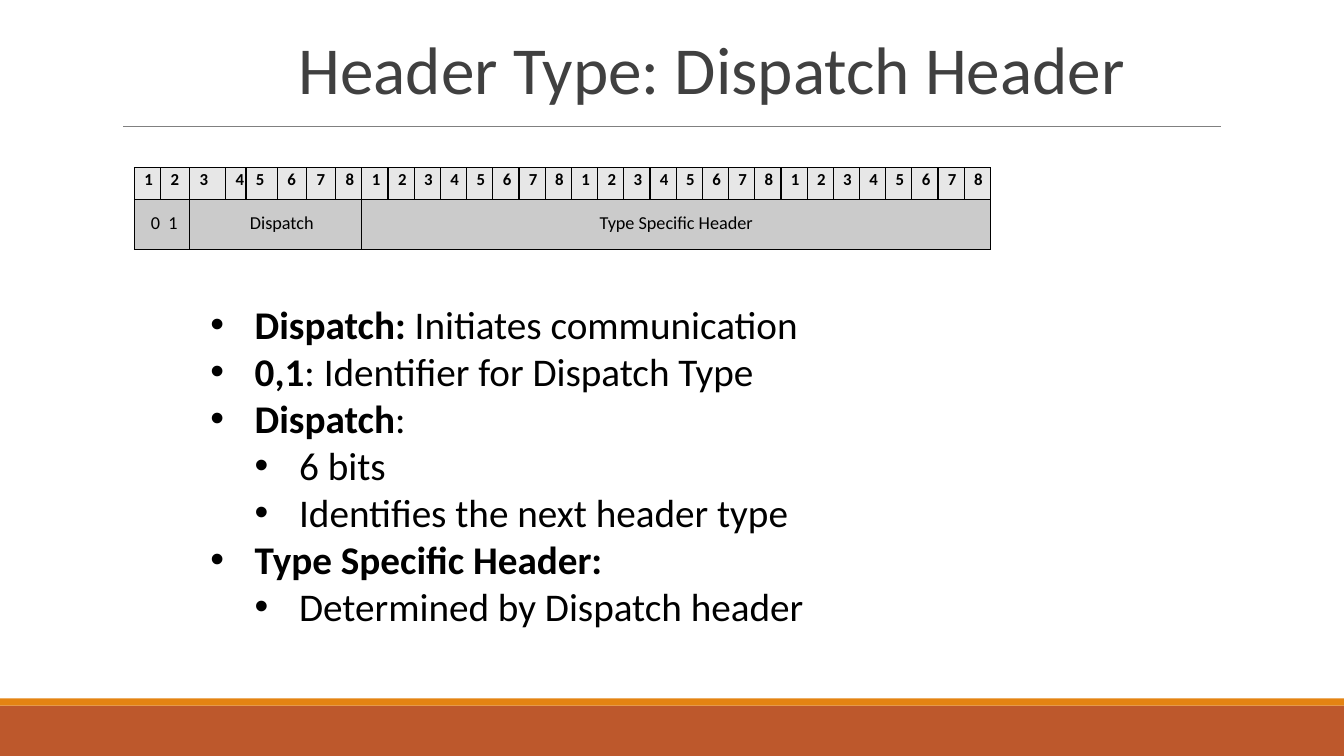
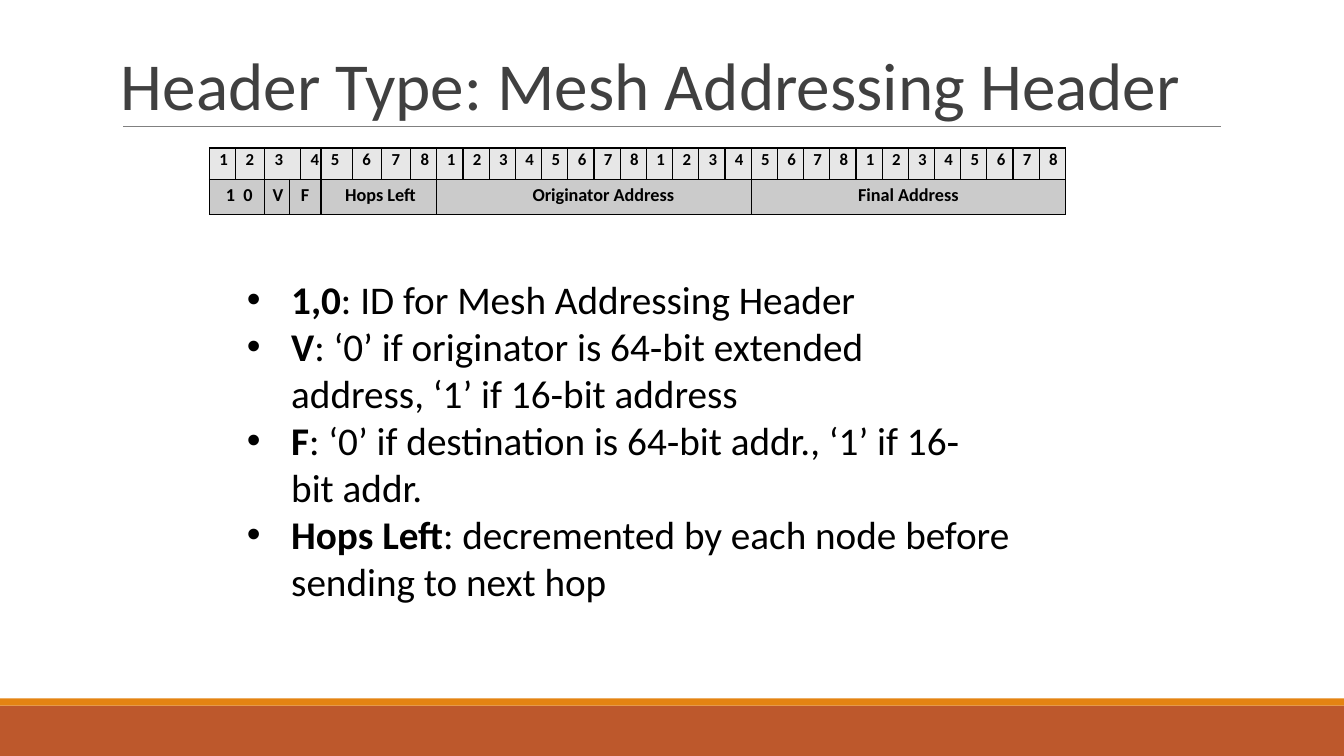
from dataclasses import dataclass
from itertools import repeat

from lxml import etree
from pptx import Presentation
from pptx.dml.color import RGBColor
from pptx.enum import shapes, text
from pptx.oxml.ns import qn
from pptx import util as u

FONT = "Calibri"
RUST = RGBColor(0xBD, 0x58, 0x2C)
ORANGE = RGBColor(0xE4, 0x83, 0x12)
RULE_GREY = RGBColor(0x80, 0x80, 0x80)
TITLE_GREY = RGBColor(0x40, 0x40, 0x40)
BLACK = RGBColor(0, 0, 0)
BIT_FILL = RGBColor(0xE7, 0xE7, 0xE7)
FIELD_FILL = RGBColor(0xCB, 0xCB, 0xCB)

SLIDE_WIDTH, SLIDE_HEIGHT = u.Cm(33.87), u.Cm(19.05)
BIT_WIDTH = 0.66
OCTET_BITS, WORD_BITS = 8, 32


@dataclass
class Field:
    """A header field; without an indent its label is centred."""
    label: str
    span: int = 1
    indent: float | None = None
    tracking: float = 0


@dataclass
class FieldRow:
    fields: list[Field]
    height: float
    top_margin: float
    size: float
    bold: bool
    fill: RGBColor


@dataclass
class Bullet:
    term: str
    detail: str = ""
    level: int = 0
    right_indent: float = 0


@dataclass
class Box:
    left: float
    top: float
    width: float
    height: float

    def lengths(self) -> list[u.Length]:
        return [u.Cm(v) for v in (self.left, self.top, self.width, self.height)]


@dataclass
class HeaderSlide:
    title: str
    title_box: Box
    table_left: float
    table_top: float
    columns: list[float]
    rows: list[FieldRow]
    bullets_box: Box
    bullets: list[Bullet]


def style_font(font, size: float, colour: RGBColor) -> None:
    font.name, font.size = FONT, u.Pt(size)
    font.color.rgb = colour


def bit_row(wide_bit: int = 0) -> FieldRow:
    """Bit numbers of four octets; wide_bit spans two columns."""
    bits = [Field(str(i % OCTET_BITS + 1), 2 if i + 1 == wide_bit else 1, 0.25)
            for i in range(WORD_BITS)]
    return FieldRow(bits, 0.79, 0.05, 12, True, BIT_FILL)


# Shared bands and rule
def draw_frame(slide) -> None:
    for top, height, colour in ((17.78, 1.27, RUST), (17.6, 0.18, ORANGE)):
        band = slide.shapes.add_shape(shapes.MSO_SHAPE.RECTANGLE, 0, u.Cm(top),
                                      SLIDE_WIDTH, u.Cm(height))
        band.shadow.inherit = False
        band.fill.solid()
        band.fill.fore_color.rgb = colour
        band.line.fill.background()
    rule = slide.shapes.add_connector(shapes.MSO_CONNECTOR.STRAIGHT, u.Cm(3.1),
                                      u.Cm(3.18), u.Cm(30.76), u.Cm(3.18))
    rule.line.color.rgb = RULE_GREY
    rule.line.width = u.Pt(0.5)
    etree.SubElement(rule._element.spPr, qn("a:effectLst"))


def add_text_frame(slide, box: Box):
    frame = slide.shapes.add_textbox(*box.lengths()).text_frame
    frame.word_wrap = True
    frame.margin_left = frame.margin_right = frame.margin_bottom = 0
    frame.margin_top = u.Cm(0.03)
    return frame


def draw_title(slide, title: str, box: Box) -> None:
    frame = add_text_frame(slide, box)
    frame.margin_left = u.Cm(0.23)
    frame.vertical_anchor = text.MSO_ANCHOR.BOTTOM
    heading = frame.paragraphs[0]
    heading.text = title
    style_font(heading.font, 48, TITLE_GREY)


# Header layout table
def border_cell(cell) -> None:
    properties = cell._tc.get_or_add_tcPr()
    for side in ("lnL", "lnR", "lnT", "lnB"):
        edge = etree.SubElement(properties, qn(f"a:{side}"), w=str(u.Pt(1)))
        paint = etree.SubElement(edge, qn("a:solidFill"))
        etree.SubElement(paint, qn("a:srgbClr"), val=str(BLACK))


def draw_field(cell, field: Field, row: FieldRow) -> None:
    cell.margin_left = u.Cm(field.indent or 0)
    cell.margin_right = cell.margin_bottom = 0
    cell.margin_top = u.Cm(row.top_margin)
    label = cell.text_frame.paragraphs[0]
    run = label.add_run()
    run.text = field.label
    if field.tracking:
        run._r.get_or_add_rPr().set("spc", str(int(field.tracking * 100)))
    if field.indent is None:
        label.alignment = text.PP_ALIGN.CENTER
    style_font(label.font, row.size, BLACK)
    label.font.bold = row.bold


def draw_header_table(slide, content: HeaderSlide) -> None:
    columns, rows = content.columns, content.rows
    box = Box(content.table_left, content.table_top, sum(columns),
              sum(row.height for row in rows))
    table = slide.shapes.add_table(len(rows), len(columns), *box.lengths()).table
    table.first_row = table.horz_banding = False
    for column, width in zip(table.columns, columns):
        column.width = u.Cm(width)
    for r, row in enumerate(rows):
        table.rows[r].height = u.Cm(row.height)
        for c in range(len(columns)):
            cell = table.cell(r, c)
            border_cell(cell)
            cell.fill.solid()
            cell.fill.fore_color.rgb = row.fill
        start = 0
        for field in row.fields:
            cell = table.cell(r, start)
            if field.span > 1:
                cell.merge(table.cell(r, start + field.span - 1))
            draw_field(cell, field, row)
            start += field.span


# Bulleted explanation
def draw_bullets(slide, bullets: list[Bullet], box: Box) -> None:
    frame = add_text_frame(slide, box)
    for i, bullet in enumerate(bullets):
        line = frame.add_paragraph() if i else frame.paragraphs[0]
        line.level = bullet.level
        properties = line._p.get_or_add_pPr()
        properties.set("marL", str(u.Cm(1.14 + 1.12 * bullet.level)))
        properties.set("marR", str(u.Cm(bullet.right_indent)))
        properties.set("indent", str(u.Cm(-1.12)))
        etree.SubElement(properties, qn("a:buFont"), typeface="Arial")
        etree.SubElement(properties, qn("a:buChar"), char="•")
        style_font(line.font, 28, BLACK)
        for words, bold in ((bullet.term, True), (bullet.detail, False)):
            if words:
                run = line.add_run()
                run.text = words
                run.font.bold = bold


def draw_slide(deck, content: HeaderSlide) -> None:
    slide = deck.slides.add_slide(deck.slide_layouts[6])
    draw_frame(slide)
    draw_title(slide, content.title, content.title_box)
    draw_header_table(slide, content)
    draw_bullets(slide, content.bullets, content.bullets_box)


# Content
FIRST_OCTET = [0.66, 0.73, 0.91, 0.51, 0.79, 0.74, 0.73, 0.66]
OTHER_OCTETS = list(repeat(BIT_WIDTH, WORD_BITS - OCTET_BITS))
SPLIT_BIT = [0.62, 0.29]  # the third bit, divided between V and F

DISPATCH = HeaderSlide(
    title="Header Type: Dispatch Header",
    title_box=Box(7.29, 0.64, 24.64, 2.08),
    table_left=3.39,
    table_top=4.23,
    columns=FIRST_OCTET + OTHER_OCTETS,
    rows=[
        bit_row(),
        FieldRow([Field("0 1", 2, 0.41, 1.5), Field("Dispatch", 6, 1.52),
                  Field("Type Specific Header", 24)],
                 1.27, 0.33, 13, False, FIELD_FILL),
    ],
    bullets_box=Box(5.28, 7.54, 16.71, 8.41),
    bullets=[
        Bullet("Dispatch: ", "Initiates communication"),
        Bullet("0,1", ": Identifier for Dispatch Type"),
        Bullet("Dispatch", ":"),
        Bullet("", "6 bits", 1),
        Bullet("", "Identifies the next header type", 1),
        Bullet("Type Specific Header:"),
        Bullet("", "Determined by Dispatch header", 1),
    ],
)

MESH = HeaderSlide(
    title="Header Type: Mesh Addressing Header",
    title_box=Box(2.82, 1.04, 29.06, 2.08),
    table_left=5.28,
    table_top=3.73,
    columns=FIRST_OCTET[:2] + SPLIT_BIT + FIRST_OCTET[3:] + OTHER_OCTETS,
    rows=[
        bit_row(wide_bit=3),
        FieldRow([Field("1 0", 2, 0.41, 1.5), Field("V", 1, 0.2), Field("F", 2),
                  Field("Hops Left", 4, 0.61), Field("Originator Address", 12, 2.41),
                  Field("Final Address", 12)],
                 0.89, 0.13, 13, True, FIELD_FILL),
    ],
    bullets_box=Box(6.2, 6.91, 19.76, 8.41),
    bullets=[
        Bullet("1,0", ": ID for Mesh Addressing Header"),
        Bullet("V", ": ‘0’ if originator is 64‐bit extended address, "
               "‘1’ if 16‐bit address", right_indent=1.27),
        Bullet("F", ": ‘0’ if destination is 64‐bit addr., ‘1’ if 16‐bit addr.",
               right_indent=1.27),
        Bullet("Hops Left", ": decremented by each node before sending to next hop"),
    ],
)


def main() -> None:
    deck = Presentation()
    deck.slide_width, deck.slide_height = SLIDE_WIDTH, SLIDE_HEIGHT
    for content in (DISPATCH, MESH):
        draw_slide(deck, content)
    deck.save("out.pptx")


if __name__ == "__main__":
    main()
